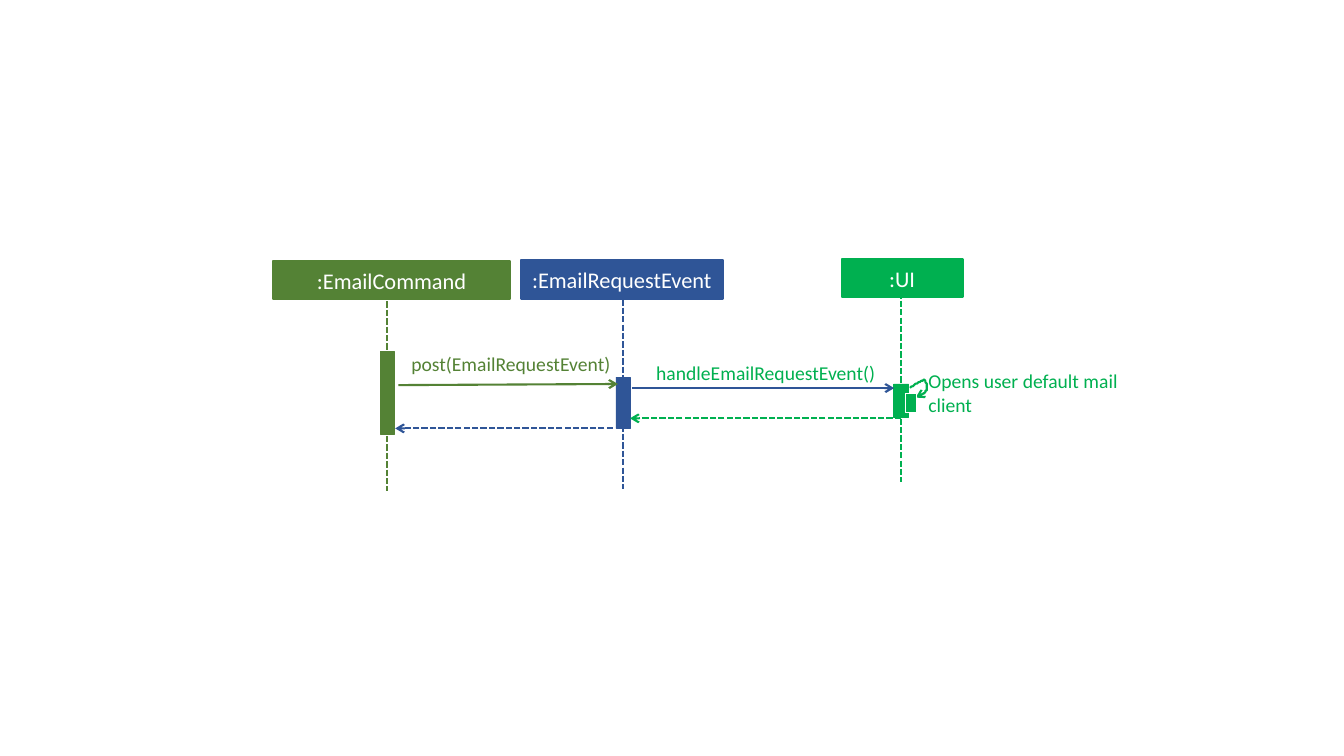
from collections import namedtuple
from lxml import etree
from pptx import Presentation
from pptx import util as u
from pptx.dml.color import RGBColor
from pptx.enum import dml, shapes, text
from pptx.oxml.ns import qn

GREEN, BLUE, OLIVE, WHITE = "00B050", "2F5597", "548235", "FFFFFF"
HEADER_HEIGHT, LIFELINE_LENGTH = 27.4, 135.4
Box = namedtuple("Box", "left top width height")


def colour(value):
    return RGBColor.from_string(value)


def add_bar(page, box, fill, outline, weight):
    bar = page.shapes.add_shape(shapes.MSO_SHAPE.RECTANGLE, *map(u.Pt, box))
    bar.shadow.inherit = False
    bar.fill.solid()
    bar.fill.fore_color.rgb = colour(fill)
    bar.line.color.rgb = colour(outline)
    bar.line.width = u.Pt(weight)
    return bar


def write(frame, words, size, shade):
    para = frame.paragraphs[0]
    para.text = words
    para.font.name = "Calibri"
    para.font.size = u.Pt(size)
    para.font.color.rgb = colour(shade)
    return para


def add_label(page, box, words, shade):
    frame = page.shapes.add_textbox(*map(u.Pt, box)).text_frame
    frame.word_wrap = True
    frame.margin_left = frame.margin_right = 0
    frame.margin_top = frame.margin_bottom = 0
    write(frame, words, 14, shade)


def add_arrowhead(line):
    etree.SubElement(line._get_or_add_ln(), qn("a:tailEnd"), type="arrow")


def add_line(page, start, end, shade, dashed=False, arrow=True):
    line = page.shapes.add_connector(
        shapes.MSO_CONNECTOR.STRAIGHT, *map(u.Pt, start + end))
    line.line.color.rgb = colour(shade)
    line.line.width = u.Pt(1.5)
    if dashed:
        line.line.dash_style = dml.MSO_LINE.SQUARE_DOT
    if arrow:
        add_arrowhead(line.line)
    etree.SubElement(line._element.spPr, qn("a:effectLst"))


def add_lane(page, box, name, shade, lifeline, activation):
    header = add_bar(page, box, shade, shade, 1.5)
    frame = header.text_frame
    frame.word_wrap = False
    frame.vertical_anchor = text.MSO_ANCHOR.MIDDLE
    write(frame, name, 16, WHITE).alignment = text.PP_ALIGN.CENTER
    across, down = lifeline
    centre, top = box.left + across, box.top + down
    add_line(page, (centre, top), (centre, top + LIFELINE_LENGTH),
             shade, dashed=True, arrow=False)
    offset, width, height = activation
    add_bar(page, (centre - width / 2, box.top + offset, width, height),
            shade, shade, 0.5)


def curve_points(start, curves, steps=12):
    for first, second, end in curves:
        for step in range(1, steps + 1):
            t = step / steps
            s = 1 - t
            yield tuple(s**3 * a + 3 * s * s * t * b + 3 * s * t * t * c + t**3 * d
                        for a, b, c, d in zip(start, first, second, end))
        start = end


def add_self_call(page, box, words, shade):
    def place(across, down):
        return box.left + across, box.top + down

    start = place(3.6, 5.8)
    curves = [
        (place(7.9, 2.9), place(11.5, 0), place(13.6, 0)),
        (place(15.1, 0.7), place(15.8, 5), place(15.1, 7.2)),
        (place(14.4, 9.4), place(10.8, 10.8), place(7.2, 13)),
    ]
    builder = page.shapes.build_freeform(*start, scale=u.Pt(1))
    builder.add_line_segments(list(curve_points(start, curves)), close=False)
    loop = builder.convert_to_shape()
    loop.shadow.inherit = False
    loop.fill.background()
    loop.line.color.rgb = colour(shade)
    loop.line.width = u.Pt(1.5)
    add_arrowhead(loop.line)
    add_bar(page, (*place(0, 9.4), 7.9, 13.7), shade, WHITE, 0.5)
    add_label(page, (*place(16.5, -7.9), 146.9, 33.8), words, shade)


def add_messages(page, box):
    def place(across, down):
        return box.left + across, box.top + down

    add_line(page, place(0.5, 23.8), place(157.4, 23), OLIVE)
    add_line(page, place(167.5, 25.9), place(354.7, 25.9), BLUE)
    add_line(page, place(359.7, 47.5), place(166, 47.5), GREEN, dashed=True)
    add_line(page, place(153.8, 54.7), place(-1.7, 54.7), BLUE, dashed=True)
    add_label(page, (*place(9.8, 0), 192.2, 17.3),
              "post(EmailRequestEvent)", OLIVE)
    add_label(page, (*place(184.7, 6.5), 209.5, 17.3),
              "handleEmailRequestEvent()", GREEN)


deck = Presentation()
deck.slide_width, deck.slide_height = u.Pt(960), u.Pt(540)
page = deck.slides.add_slide(deck.slide_layouts[6])

LANES = [
    (":UI", GREEN, (601.2, 185, 86.4), (42.5, 23.8), (89.3, 10.8, 23.8)),
    (":EmailRequestEvent", BLUE, (372.2, 185.8, 144), (72.8, 28), (83.5, 10.1, 36.7)),
    (":EmailCommand", OLIVE, (195.1, 186.5, 169.2), (81.6, 28.8), (64.8, 9.4, 59)),
]
for name, shade, header, lifeline, activation in LANES:
    add_lane(page, Box(*header, HEADER_HEIGHT), name, shade, lifeline, activation)
add_messages(page, Box(284, 251.3, 360, 59))
add_self_call(page, Box(646.6, 271.4, 163.4, 33.8),
              "Opens user default mail client", GREEN)

deck.save("out.pptx")
